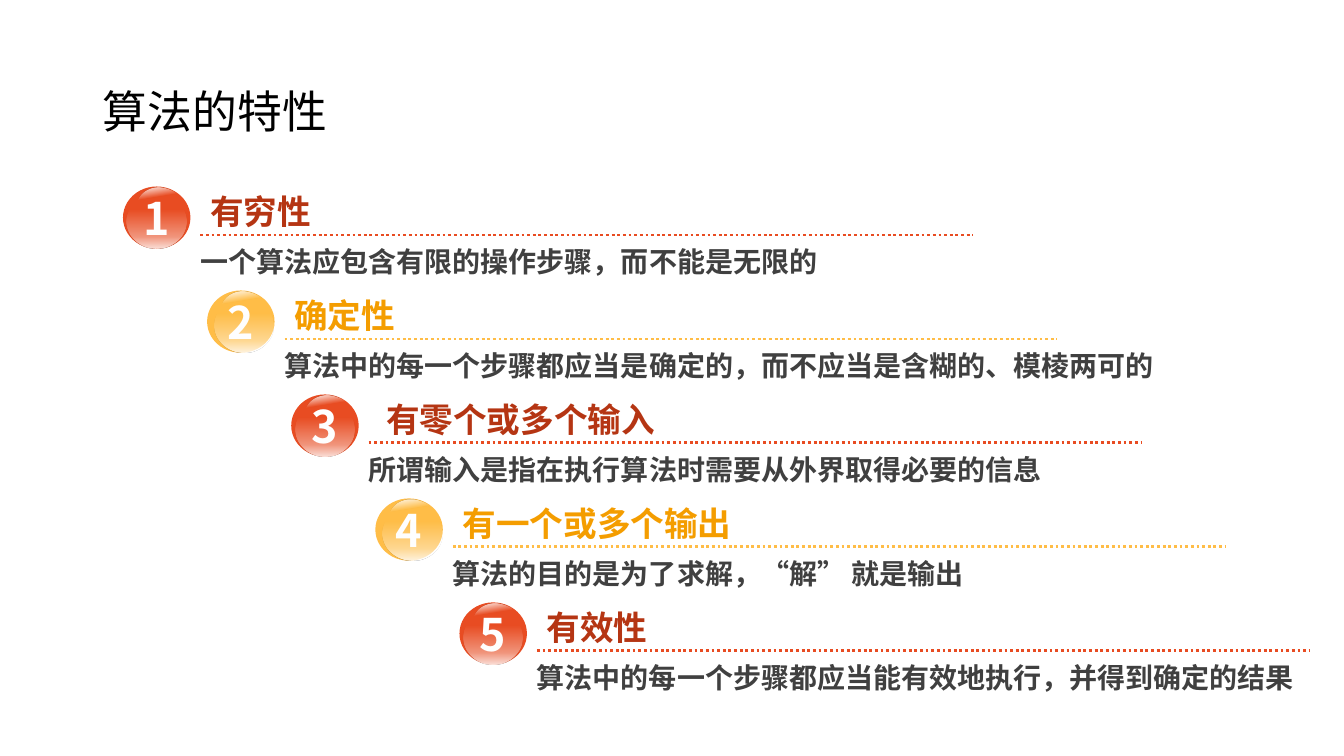
"""Build a slide with five stepped properties of an algorithm."""
from lxml import etree
from pptx import Presentation
from pptx.dml.color import RGBColor
from pptx.enum.dml import MSO_LINE
from pptx.enum.shapes import MSO_CONNECTOR, MSO_SHAPE
from pptx.enum.text import MSO_ANCHOR, PP_ALIGN
from pptx.oxml.ns import qn
from pptx.util import Cm, Pt

OVAL, LINE = MSO_SHAPE.OVAL, MSO_CONNECTOR.STRAIGHT
DOTS = MSO_LINE.ROUND_DOT
TOP, MID, LOW = MSO_ANCHOR.TOP, MSO_ANCHOR.MIDDLE, MSO_ANCHOR.BOTTOM
LEFT, MIDST = PP_ALIGN.LEFT, PP_ALIGN.CENTER
FONT = "Noto Sans CJK SC"

TITLE = "算法的特性"
ITEMS = [
    ("有穷性", "一个算法应包含有限的操作步骤，而不能是无限的", 19.56),
    ("确定性", "算法中的每一个步骤都应当是确定的，而不应当是含糊的、模棱两可的", 24.23),
    (" 有零个或多个输入", "所谓输入是指在执行算法时需要从外界取得必要的信息", 22.94),
    ("有一个或多个输出", "算法的目的是为了求解，“解” 就是输出", 14.07),
    ("有效性", "算法中的每一个步骤都应当能有效地执行，并得到确定的结果", 19.48),
]
TONES = [("E84C22", "B53513"), ("FFBD47", "F49D00")]
SHINE = [(0, 0), (16, 88), (30, 0)]
GLOW = [(28, 0), (78, 41), (98, 79)]
STEP_X, STEP_Y = 2.12, 2.62


def tint(text):
    return RGBColor.from_string(text)


def write(shape, text, size, color, bold=True, align=LEFT, anchor=TOP,
          pad=(0.25, 0.13), gap=None):
    frame = shape.text_frame
    frame.word_wrap = True
    frame.vertical_anchor = anchor
    frame.margin_left = frame.margin_right = Cm(pad[0])
    frame.margin_top = frame.margin_bottom = Cm(pad[1])
    para = frame.paragraphs[0]
    para.alignment = align
    para.line_spacing = gap
    run = para.add_run()
    run.text = text
    font = run.font
    font.size, font.bold, font.name = Pt(size), bold, FONT
    font.color.rgb = tint(color)
    etree.SubElement(font._element, qn("a:ea"), typeface=FONT)


def box(x, y, w, h, text, size, color, **form):
    shape = slide.shapes.add_textbox(Cm(x), Cm(y), Cm(w), Cm(h))
    write(shape, text, size, color, **form)


def oval(x, y, w, h, color="FFFFFF"):
    shape = slide.shapes.add_shape(OVAL, Cm(x), Cm(y), Cm(w), Cm(h))
    shape.shadow.inherit = False
    shape.fill.solid()
    shape.fill.fore_color.rgb = tint(color)
    shape.line.fill.background()
    return shape


def fade(shape, stops, angle):
    old = shape._element.spPr.find(qn("a:solidFill"))
    grad = etree.Element(qn("a:gradFill"), rotWithShape="1")
    marks = etree.SubElement(grad, qn("a:gsLst"))
    for place, alpha in stops:
        mark = etree.SubElement(marks, qn("a:gs"), pos=str(place * 1000))
        color = etree.SubElement(mark, qn("a:srgbClr"), val="FFFFFF")
        etree.SubElement(color, qn("a:alpha"), val=str(alpha * 1000))
    etree.SubElement(grad, qn("a:lin"), ang=str(angle * 60000), scaled="0")
    old.getparent().replace(old, grad)


def rule(x, y, w, color):
    line = slide.shapes.add_connector(LINE, Cm(x), Cm(y), Cm(x + w), Cm(y))
    line.line.color.rgb = tint(color)
    line.line.width = Pt(2)
    line.line.dash_style = DOTS
    etree.SubElement(line._element.spPr, qn("a:effectLst"))


deck = Presentation()
deck.slide_width, deck.slide_height = Cm(33.87), Cm(19.05)
slide = deck.slides.add_slide(deck.slide_layouts[5])

title = slide.shapes.title
title.left, title.top = Cm(2.34), Cm(1.02)
title.width, title.height = Cm(29.21), Cm(3.68)
write(title, TITLE, 32, "000000", bold=False, anchor=MID, gap=0.9)

for i, (head, body, wide) in enumerate(ITEMS):
    x, y = 3.1 + i * STEP_X, 4.7 + i * STEP_Y
    main, dark = TONES[i % 2]
    ball = oval(x, y, 1.7, 1.57, main)
    write(ball, str(i + 1), 32, "FFFFFF", align=MIDST, anchor=MID, pad=(0, 0.13))
    rule(x + 1.95, y + 1.22, 19.47, main)
    shine = oval(x + 0.3, y + 0.08, 1.42, 1.19)
    shine.rotation = 35.7
    fade(shine, SHINE, 45)
    glow = oval(x + (0.1, 0.18)[i % 2], y + 0.2, 1.5, 1.37)
    fade(glow, GLOW, 90)
    box(x + 1.95, y + 0.13, 14.07, 1.12, head, 24, dark, anchor=LOW)
    box(x + 1.95, y + 1.22, wide, 1.04, body, 20, "404040", pad=(0, 0), gap=1.3)

deck.save("out.pptx")
